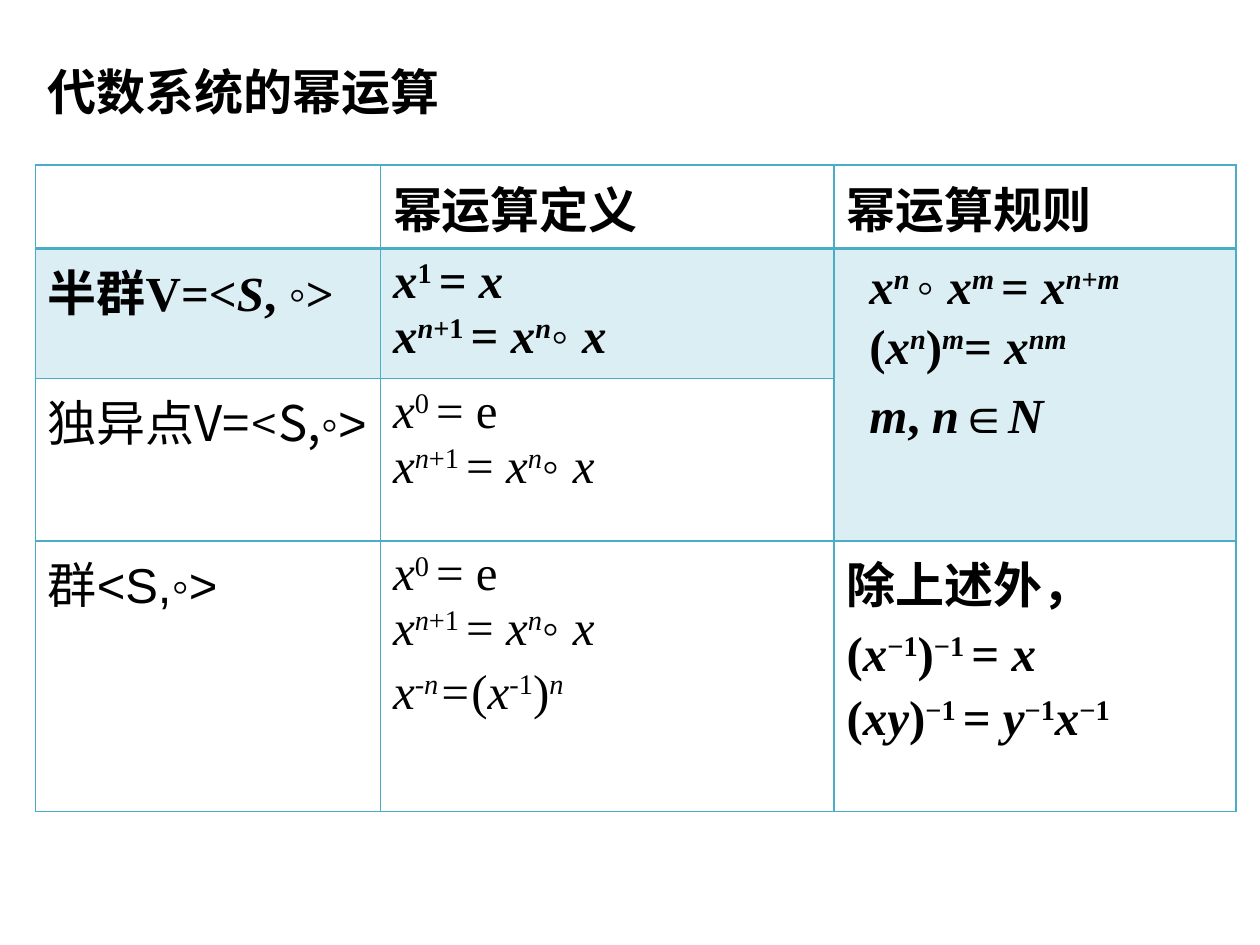
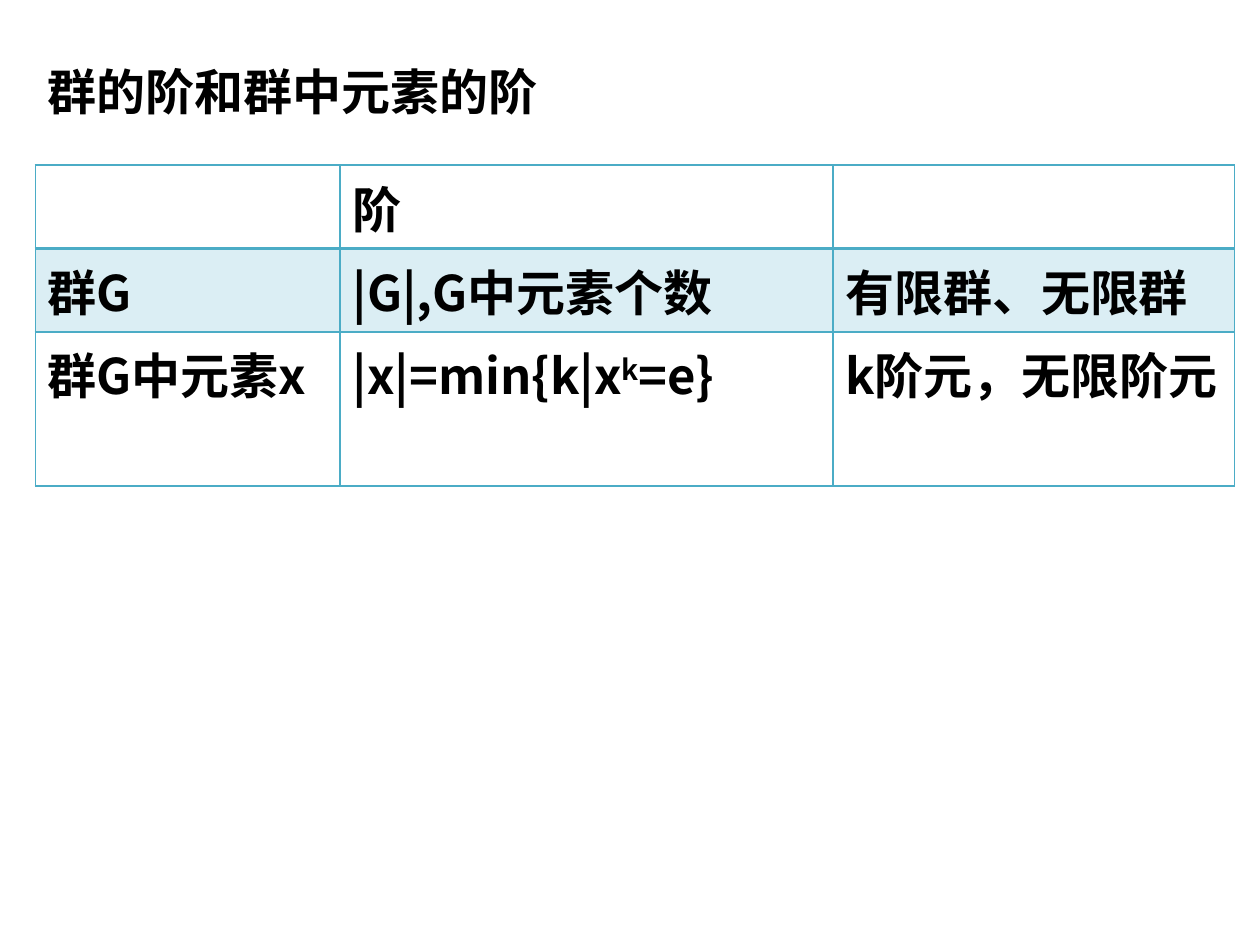
"""Build two slides that sum up powers and orders in algebraic systems."""
from dataclasses import dataclass
from itertools import groupby

from lxml.etree import SubElement as Sub
from pptx import Presentation
from pptx.dml.color import RGBColor as Rgb
from pptx.enum.text import MSO_ANCHOR as Anchor
from pptx.enum.text import MSO_AUTO_SIZE as Auto
from pptx.enum.text import PP_ALIGN as Align
from pptx.oxml import parse_xml
from pptx.oxml.ns import nsdecls, qn
from pptx.util import Pt

PX = 9144
HUES = {"text": "000000", "line": "4BACC6", "band": "DBEEF4"}
NOTO, TIMES, ARIAL = "Noto Sans CJK SC", "Times New Roman", "Arial"
FACES = {"~": ARIAL, "`": "Montserrat"}
MARKS = "*^~`"
LEFT, WIDE = 28, 953


@dataclass
class Item:
    text: str = ""
    face: str = NOTO
    bold: bool = True
    indent: int = 0
    lead: float = 1.0


def split(text):
    on = frozenset()
    for char in text:
        if char in MARKS:
            on ^= {char}
        else:
            yield (char == "\n", on), char


class Deck:
    def __init__(self):
        self.show = Presentation()
        self.show.slide_width, self.show.slide_height = 1000 * PX, 750 * PX
        self.slide = None

    def style(self, para, face, bold):
        font = para.font
        font.size, font.bold, font.name = Pt(28), bold, face
        font.color.rgb = Rgb.from_string(HUES["text"])
        Sub(font._rPr, qn("a:ea")).set("typeface", NOTO)

    def title(self, text, width):
        self.slide = self.show.slides.add_slide(self.show.slide_layouts[5])
        box = self.slide.shapes.title
        box.left, box.top = LEFT * PX, 44 * PX
        box.width, box.height = width * PX, 57 * PX
        frame = box.text_frame
        frame.text = text
        frame.word_wrap, frame.auto_size = False, Auto.NONE
        frame.vertical_anchor = Anchor.TOP
        para = frame.paragraphs[0]
        para.alignment = Align.LEFT
        self.style(para, ARIAL, True)

    def line(self, para, item, text):
        if item.indent:
            para._p.get_or_add_pPr().set("marL", str(item.indent * PX))
        para.line_spacing = item.lead
        self.style(para, item.face, item.bold)
        for (brk, on), chars in groupby(split(text), key=lambda pair: pair[0]):
            if brk:
                para.add_line_break()
                continue
            run = para.add_run()
            run.text = "".join(char for _, char in chars)
            if "*" in on:
                run.font.italic = True
            if "^" in on:
                run._r.get_or_add_rPr().set("baseline", "30000")
            for mark in on & FACES.keys():
                run.font.name = FACES[mark]

    def edge(self, cell, row):
        props = cell._tc.get_or_add_tcPr()
        thick = {"T": row == 1, "B": row == 0}
        for spot, side in enumerate("LRTB"):
            width = Pt(2 if thick.get(side) else 1)
            props.insert(spot, parse_xml(
                f'<a:ln{side} {nsdecls("a")} w="{width}"><a:solidFill>'
                f'<a:srgbClr val="{HUES["line"]}"/></a:solidFill></a:ln{side}>'))

    def table(self, cols, rows, items, merge=None):
        frame = self.slide.shapes.add_table(
            len(rows), len(cols), LEFT * PX, 131 * PX, WIDE * PX, sum(rows) * PX)
        grid = frame.table
        grid.first_row = grid.horz_banding = False
        for col, width in zip(grid.columns, cols):
            col.width = width * PX
        for row, height in zip(grid.rows, rows):
            row.height = height * PX
        if merge:
            first, last = merge
            grid.cell(*first).merge(grid.cell(*last))
        for row, line in enumerate(items):
            for col, item in enumerate(line):
                cell = grid.cell(row, col)
                if row == 1:
                    cell.fill.solid()
                    cell.fill.fore_color.rgb = Rgb.from_string(HUES["band"])
                else:
                    cell.fill.background()
                self.edge(cell, row)
                self.body(cell.text_frame, item)

    def body(self, frame, item):
        if not item.text:
            return
        for spot, text in enumerate(item.text.split("\n\n")):
            para = frame.add_paragraph() if spot else frame.paragraphs[0]
            if spot:
                para.space_before = Pt(5.6)
            self.line(para, item, text)


def main():
    deck = Deck()
    step = "*x^n^*^+1 ^= *x^n^*~◦ ~*x*"
    unit = "*x*^0 ^= e\n" + step
    deck.title("代数系统的幂运算", 331)
    deck.table((274, 360, 319), (58, 103, 129, 215), (
        (Item(), Item("幂运算定义"), Item("幂运算规则")),
        (Item("半群V=<*S*, ~◦~>", TIMES),
         Item("*x*^1 ^= *x*\n" + step, TIMES),
         Item("*x^n ^*~◦ ~*x^m ^*= *x^n*+*m*^\n(*x^n^*)*^m^*= *x^nm^*"
              "\n\n*m*, *n*∈*N*", TIMES, indent=18, lead=1.1)),
        (Item("独异点V=`<`S,~◦>~", bold=False), Item(unit, TIMES, False), Item()),
        (Item("群<S,◦>", ARIAL, False),
         Item(unit + "\n\n*x^-n^=*(*x*^-1^)*^n^*", TIMES, False),
         Item("除上述外，\n\n(*x*^−1^)^−1 ^= *x*"
              "\n\n(*xy*)^−1 ^= *y*^−1^*x*^−1^", TIMES)),
    ), ((1, 2), (2, 2)))

    deck.title("群的阶和群中元素的阶", 409)
    deck.table((242, 391, 319), (58, 57, 60), (
        (Item(), Item("阶"), Item()),
        (Item("群G"), Item("|G|,G中元素个数"), Item("有限群、无限群")),
        (Item("群G中元素x"), Item("|x|=min{k|x^k^=e}"), Item("k阶元，无限阶元")),
    ))
    deck.show.save("out.pptx")


if __name__ == "__main__":
    main()
